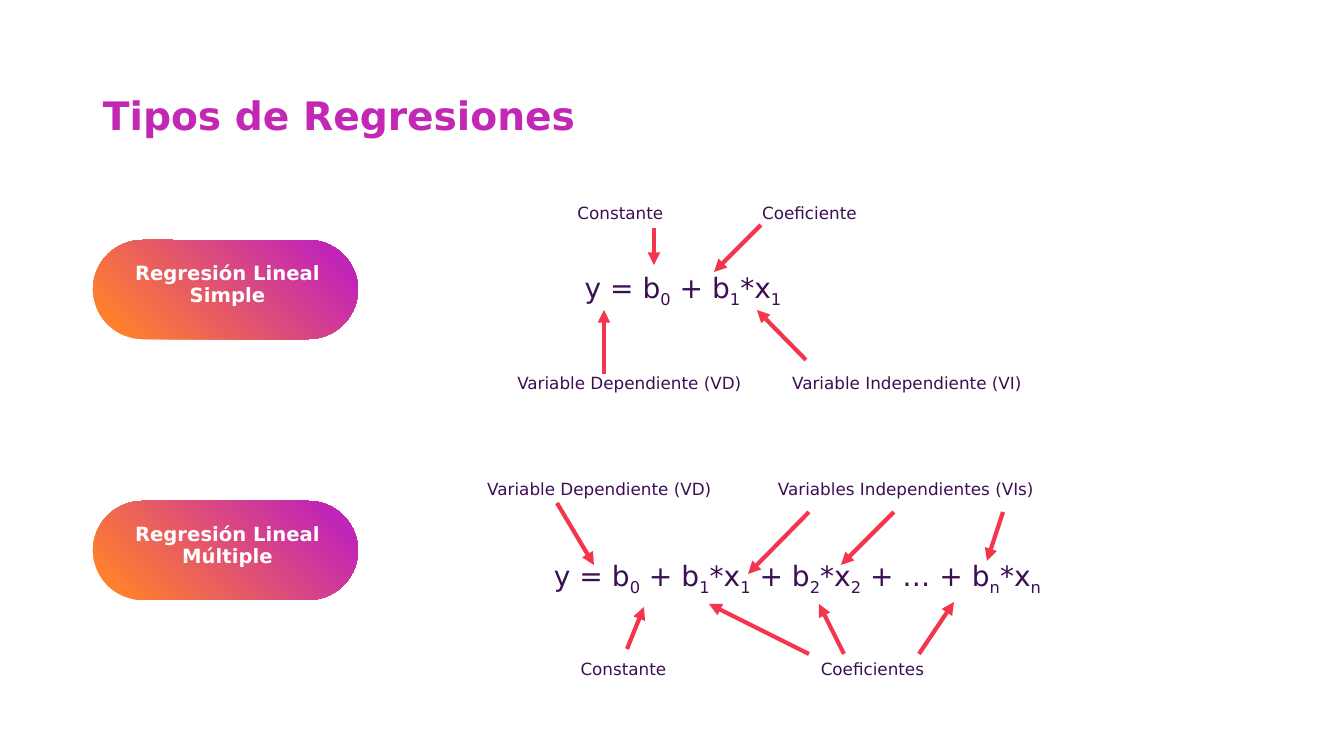
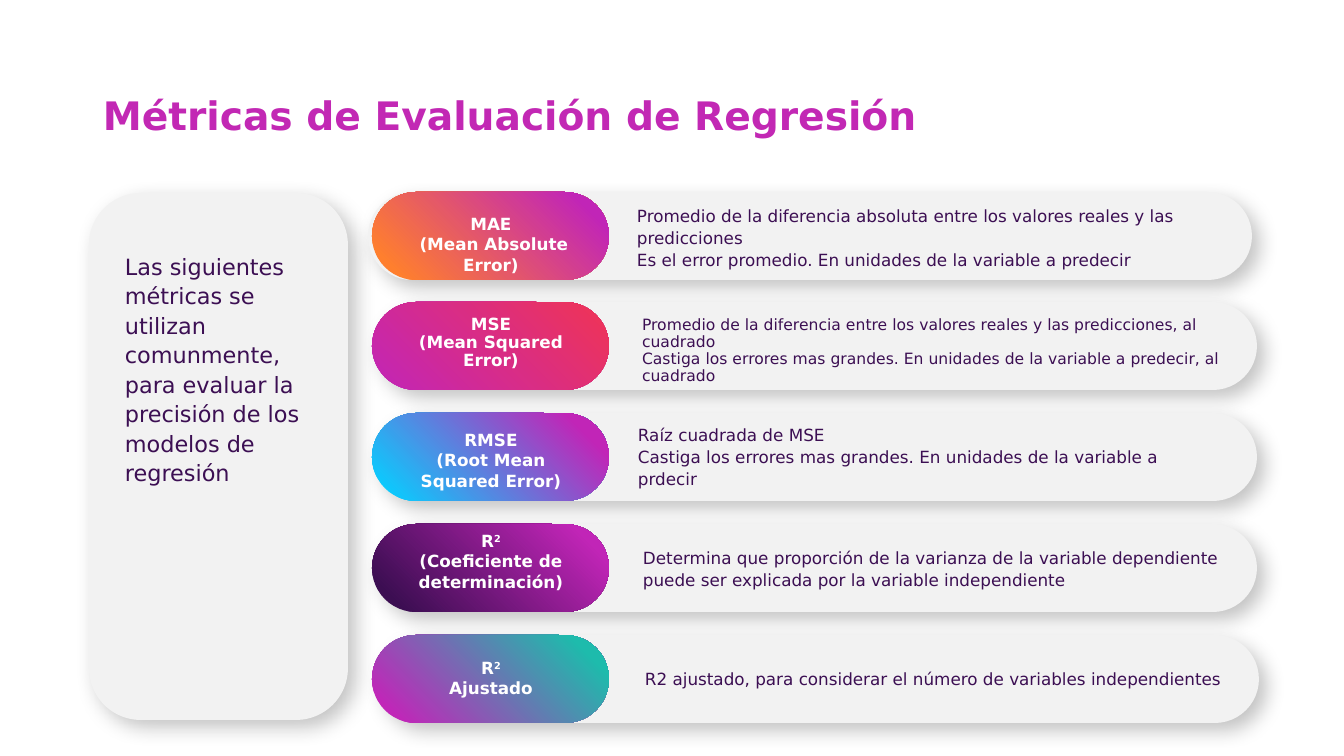
from lxml import etree
from pptx import Presentation
from pptx.dml.color import RGBColor
from pptx.enum import shapes, text
from pptx.oxml import parse_xml
from pptx.oxml.ns import nsdecls, qn
from pptx.util import Emu, Pt

SCALE = 914400 / 100.8
FONT = "DejaVu Sans"
MAGENTA, INK, RED = "C228B4", "3C0F53", "F4364C"
WHITE, PALE = "FFFFFF", "F2F2F2"
SUNSET = ((10, "FF7F2E"), (89, "C125B7"))
BASELINES = {"_": "-25000", "^": "30000"}
LEFT, CENTER = text.PP_ALIGN.LEFT, text.PP_ALIGN.CENTER
TOP, MIDDLE = text.MSO_ANCHOR.TOP, text.MSO_ANCHOR.MIDDLE
SHADOW = (
    f'<a:effectLst {nsdecls("a")}><a:outerShdw blurRad="{Pt(14.8)}" dist="{Pt(7)}" '
    'dir="2700000" algn="tl" rotWithShape="0"><a:srgbClr val="000000">'
    '<a:alpha val="23000"/></a:srgbClr></a:outerShdw></a:effectLst>'
)


def px(length):
    return Emu(round(length * SCALE))


def color(code):
    return RGBColor.from_string(code)


class Slides:
    """Shared style and the page being built."""

    def __init__(self):
        self.deck = Presentation()
        self.deck.slide_width, self.deck.slide_height = px(1344), px(756)
        self.page = None

    def start(self, title):
        self.page = self.deck.slides.add_slide(self.deck.slide_layouts[6])
        self.textbox((93, 72, 1159, 92), [title], 28, MAGENTA, bold=True,
                     anchor=MIDDLE, spacing=0.9)

    def textbox(self, area, lines, size, ink=INK, bold=False, align=LEFT,
                anchor=TOP, spacing=1.0, before=0, inset=(10, 5)):
        """Text box; '|' parts spans, and '_' or '^' opens a sub- or superscript."""
        box = self.page.shapes.add_textbox(*map(px, area))
        frame = box.text_frame
        frame.word_wrap = True
        frame.vertical_anchor = anchor
        frame.margin_left = frame.margin_right = px(inset[0])
        frame.margin_top = frame.margin_bottom = px(inset[1])
        for index, line in enumerate(lines):
            para = frame.add_paragraph() if index else frame.paragraphs[0]
            para.alignment, para.line_spacing = align, spacing
            para.space_before = Pt(before)
            para.font.name, para.font.size = FONT, Pt(size)
            para.font.bold = bold
            para.font.color.rgb = color(ink)
            for part in line.split("|"):
                span = para.add_run()
                span.text = part.lstrip("_^")
                if part[0] in BASELINES:
                    span._r.get_or_add_rPr().set("baseline", BASELINES[part[0]])

    def rounded(self, area, bend=0.5):
        shape = self.page.shapes.add_shape(
            shapes.MSO_SHAPE.ROUNDED_RECTANGLE, *map(px, area))
        shape.adjustments[0] = bend
        shape.line.fill.background()
        return shape

    def panel(self, area, bend=0.5):
        shape = self.rounded(area, bend)
        shape.fill.solid()
        shape.fill.fore_color.rgb = color(PALE)
        shape._element.spPr.append(parse_xml(SHADOW))

    def pill(self, area, stops):
        shape = self.rounded(area)
        shape.shadow.inherit = False
        shape.fill.gradient()
        shape.fill.gradient_angle = 45
        for stop, (position, code) in zip(shape.fill.gradient_stops, stops):
            stop.position = position / 100
            stop.color.rgb = color(code)

    def label(self, left, top, width, caption, size=12, height=30):
        self.textbox((left, top, width, height), [caption], size,
                     align=CENTER, inset=(5, 5))

    def arrow(self, *ends):
        line = self.page.shapes.add_connector(
            shapes.MSO_CONNECTOR.STRAIGHT, *map(px, ends))
        line.line.color.rgb = color(RED)
        line.line.width = Pt(3)
        outline = line.line._get_or_add_ln()
        etree.SubElement(outline, qn("a:tailEnd"), type="triangle")
        etree.SubElement(line._element.spPr, qn("a:effectLst"))


slides = Slides()

# Types of regression
slides.start("Tipos de Regresiones")
for top, name in ((240, "Regresión Lineal Simple"), (501, "Regresión Lineal Múltiple")):
    slides.pill((93, top, 265, 99), SUNSET)
    slides.textbox((109, top + 19, 237, 44), [name], 14, WHITE, bold=True,
                   align=CENTER, spacing=0.9, before=7.5)

# Equations
slides.label(553, 265, 260, "y = b|_0| + b|_1|*x|_1", 20, 44)
slides.label(491, 553, 613,
             "y = b|_0| + b|_1|*x|_1| + b|_2|*x|_2| + … + b|_n|*x|_n", 20, 44)

# Names of the terms
for left, top, width, caption in (
    (511, 198, 219, "Constante"),
    (730, 198, 159, "Coeficiente"),
    (491, 368, 277, "Variable Dependiente (VD)"),
    (760, 368, 294, "Variable Independiente (VI)"),
    (461, 474, 277, "Variable Dependiente (VD)"),
    (759, 474, 294, "Variables Independientes (VIs)"),
    (514, 654, 219, "Constante"),
    (793, 654, 159, "Coeficientes"),
):
    slides.label(left, top, width, caption)

# Arrows from names to terms
for ends in (
    (604, 374, 604, 310), (806, 360, 757, 310),
    (761, 225, 714, 272), (654, 228, 654, 265),
    (557, 503, 594, 565), (809, 512, 748, 574),
    (894, 512, 841, 565), (1003, 512, 987, 561),
    (627, 649, 644, 607), (809, 654, 709, 604),
    (844, 654, 819, 604), (919, 654, 954, 602),
):
    slides.arrow(*ends)

# Evaluation metrics
slides.start("Métricas de Evaluación de Regresión")
slides.panel((89, 193, 259, 527), 0.2)
slides.textbox((115, 245, 210, 312),
               ["Las siguientes métricas se utilizan comunmente, para evaluar la "
                "precisión de los modelos de regresión"], 16, spacing=1.1, before=10)

# Each metric: gradient, bar left, name (drop, spacing, anchor, lines),
# note (left, drop, width, height, size, spacing, lines)
metrics = (
    (SUNSET, 368,
     (15, 1.0, TOP, ["MAE", " (Mean Absolute Error)"]),
     (624, 1, 606, 88, 12, 1.1,
      ["Promedio de la diferencia absoluta entre los valores reales y las predicciones",
       "Es el error promedio. En unidades de la variable a predecir"])),
    (((0, "C125B7"), (100, "F03455")), 373,
     (7, 0.9, TOP, ["MSE", "(Mean Squared Error)"]),
     (629, 7, 623, 84, 11.1, 0.9,
      ["Promedio de la diferencia entre los valores reales y las predicciones, al cuadrado",
       "Castiga los errores mas grandes. En unidades de la variable a predecir, al cuadrado"])),
    (((8, "0DC9FD"), (87, "C125B7")), 373,
     (10, 1.0, TOP, ["RMSE", "(Root Mean Squared Error)"]),
     (625, 2, 606, 82, 12, 1.1,
      ["Raíz cuadrada de MSE",
       "Castiga los errores mas grandes. En unidades de la variable a prdecir"])),
    (((10, "3C0E52"), (89, "C125B7")), 373,
     (0, 1.0, TOP, ["R|^2", "(Coeficiente de determinación)"]),
     (630, 2, 606, 84, 12, 1.1,
      ["Determina que proporción de la varianza de la variable dependiente "
       "puede ser explicada por la variable independiente"])),
    (((9, "C126B8"), (88, "1EBBAC")), 375,
     (0, 1.0, MIDDLE, ["R|^2", "Ajustado"]),
     (632, 1, 606, 84, 12, 1.1,
      ["R2 ajustado, para considerar el número de variables independientes"])),
)
for row, (stops, bar_left, name, note) in enumerate(metrics):
    top = 192 + row * 443 // 4
    slides.panel((bar_left, top, 884, 88))
    slides.pill((372, top, 237, 88), stops)
    drop, spacing, anchor, lines = name
    slides.textbox((385, top + drop, 212, 86 - drop), lines, 12, WHITE, bold=True,
                   align=CENTER, anchor=anchor, spacing=spacing, inset=(13, 7))
    left, drop, width, height, size, spacing, lines = note
    slides.textbox((left, top + drop, width, height), lines, size,
                   anchor=MIDDLE, spacing=spacing, inset=(13, 7))

slides.deck.save("out.pptx")
